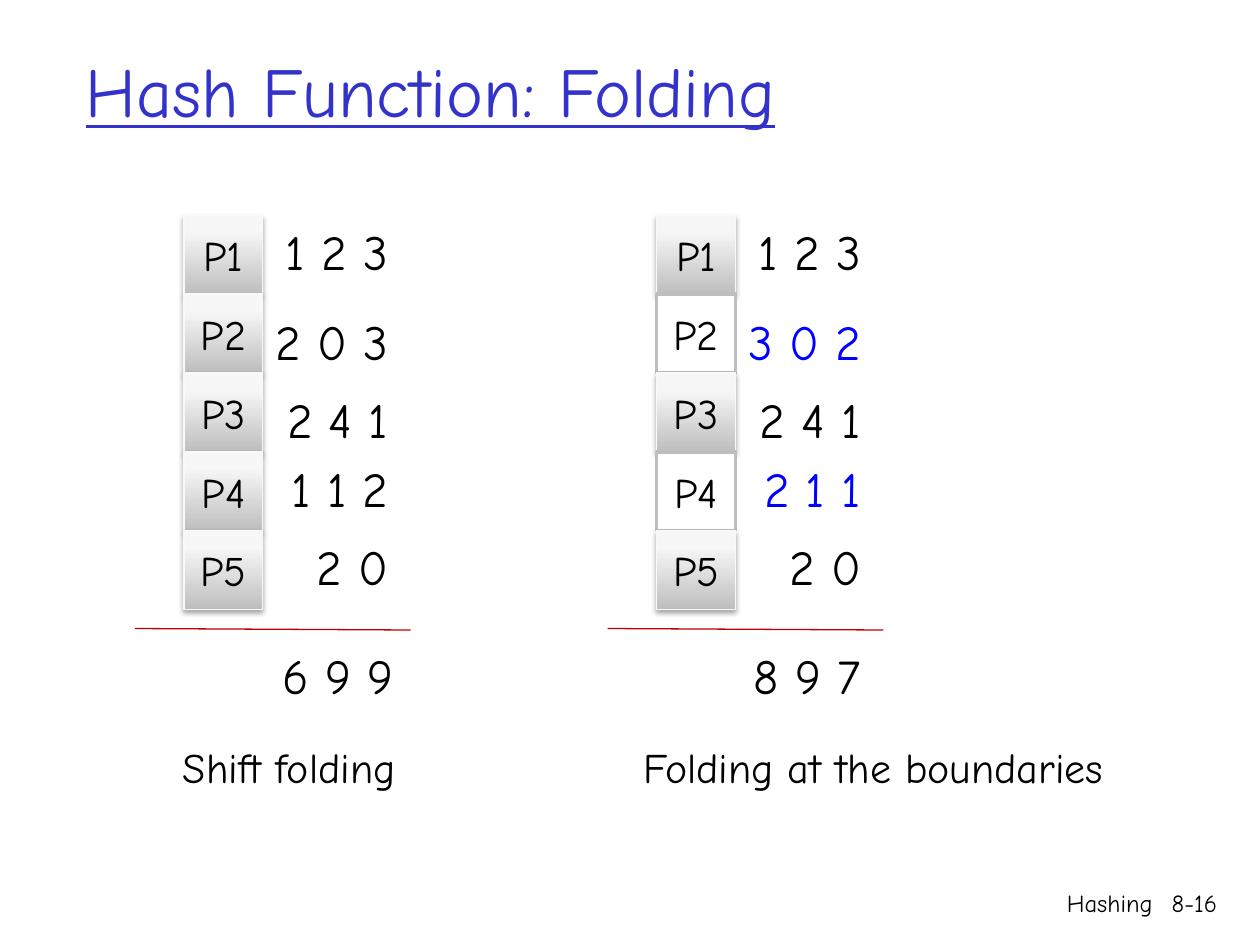
"""Build a slide that compares shift folding with folding at the boundaries."""
from pptx import Presentation
from pptx import util as u
from pptx.dml.color import RGBColor
from pptx.enum import shapes, text
from pptx.oxml import parse_xml
from pptx.oxml.ns import nsdecls

COLORS = {
    "title": "3333CC", "text": "000000", "reversed": "0000FF", "rule": "C00000",
    "edge": "F9F9F9", "frame": "BDBDBD", "white": "FFFFFF",
    "dark": "BEBEBE", "light": "F7F7F7", "pale": "F8F8F8",
}
LEFT, RIGHT, CENTER = text.PP_ALIGN.LEFT, text.PP_ALIGN.RIGHT, text.PP_ALIGN.CENTER
STOPS = ((0, "dark"), (80, "light"), (100, "pale"))
BLOCK_X, BLOCK_Y, BLOCK = 3.71, 4.34, 1.59
NUMBER_TOPS = (4.34, 6.15, 7.72, 9.12, 10.69)
NUMBER_RIGHT, NUMBER_H = 8.08, 1.45


class Deck:
    """Hold the style and the current slide."""

    def __init__(self, font="Comic Neue"):
        self.font = font
        self.prs = Presentation()
        self.prs.slide_width, self.prs.slide_height = u.Cm(25.4), u.Cm(19.05)
        self.s = self.prs.slides.add_slide(self.prs.slide_layouts[5])

    def color(self, name):
        return RGBColor.from_string(COLORS[name])

    def add_text(self, sp, words, size, color="text", align=LEFT,
                 anchor=text.MSO_ANCHOR.TOP, underline=None):
        tf = sp.text_frame
        tf.word_wrap, tf.auto_size = True, text.MSO_AUTO_SIZE.NONE
        tf.vertical_anchor = anchor
        p = tf.paragraphs[0]
        p.alignment = align
        r = p.add_run()
        r.text = words
        r.font.name, r.font.size = self.font, u.Pt(size)
        r.font.underline = underline
        r.font.color.rgb = self.color(color)

    def title(self, words, x, y, w, h):
        sp = self.s.shapes.title
        sp.left, sp.top, sp.width, sp.height = map(u.Cm, (x, y, w, h))
        self.add_text(sp, words, 40, "title", anchor=text.MSO_ANCHOR.MIDDLE, underline=True)

    def label(self, words, x, y, w, h, size, color="text", align=RIGHT):
        sp = self.s.shapes.add_textbox(*map(u.Cm, (x, y, w, h)))
        self.add_text(sp, words, size, color, align)

    def block(self, words, x, y, raised):
        sp = self.s.shapes.add_shape(shapes.MSO_SHAPE.RECTANGLE,
                                     *map(u.Cm, (x, y, BLOCK, BLOCK)))
        sp.line.color.rgb = self.color("edge" if raised else "frame")
        sp.line.width = u.Pt(0.75 if raised else 2)
        sp.shadow.inherit = False
        if raised:
            self.raise_up(sp)
        else:
            sp.fill.solid()
            sp.fill.fore_color.rgb = self.color("white")
        self.add_text(sp, words, 24, align=CENTER, anchor=text.MSO_ANCHOR.MIDDLE)

    def raise_up(self, sp):
        stops = "".join(f'<a:gs pos="{pos * 1000}"><a:srgbClr val="{COLORS[c]}"/></a:gs>'
                        for pos, c in STOPS)
        spPr = sp.element.spPr
        spPr.insert(2, parse_xml(
            f'<a:gradFill {nsdecls("a")} rotWithShape="1"><a:gsLst>{stops}</a:gsLst>'
            '<a:lin ang="16200000" scaled="0"/></a:gradFill>'))
        spPr.find("{*}effectLst").append(parse_xml(
            f'<a:outerShdw {nsdecls("a")} blurRad="40000" dist="23000" dir="5400000" '
            'rotWithShape="0"><a:srgbClr val="000000"><a:alpha val="35000"/>'
            '</a:srgbClr></a:outerShdw>'))

    def rule(self, x1, y1, x2, y2):
        sp = self.s.shapes.add_connector(shapes.MSO_CONNECTOR.STRAIGHT,
                                         *map(u.Cm, (x1, y1, x2, y2)))
        sp.line.color.rgb, sp.line.width = self.color("rule"), u.Pt(0.75)
        sp.element.spPr.append(parse_xml(f'<a:effectLst {nsdecls("a")}/>'))

    def folding(self, dx, numbers, total, caption, flipped=()):
        """Draw one sum; numbers are (digits, width) and total adds a right edge."""
        for i in range(len(numbers)):
            self.block(f"P{i + 1}", BLOCK_X + dx, BLOCK_Y + i * BLOCK, i not in flipped)
        for i, (digits, w) in enumerate(numbers):
            self.label(digits, NUMBER_RIGHT + dx - w, NUMBER_TOPS[i], w, NUMBER_H, 28,
                       "reversed" if i in flipped else "text")
        self.rule(2.72 + dx, 12.67, 8.28 + dx, 12.7)
        digits, w, right = total
        self.label(digits, right - w, 12.88, w, NUMBER_H, 28)
        words, x, w = caption
        self.label(words, x, 14.83, w, 1.27, 24, align=CENTER)


def main():
    d = Deck()
    d.title("Hash Function: Folding", 1.47, 0.64, 21.59, 2.34)
    d.label("Hashing", 15.44, 17.78, 8.05, 1.27, 14)
    d.label("8-16", 23.06, 17.78, 1.73, 1.27, 14)
    d.folding(0, [("1 2 3", 2.77), ("2 0 3", 3.12), ("2 4 1", 2.77),
                  ("1 1 2", 2.77), ("2 0", 2.77)],
              ("6 9 9", 3.68, 8.18), ("Shift folding", 2.16, 7.34))
    d.folding(9.53, [("1 2 3", 2.77), ("3 0 2", 3.3), ("2 4 1", 2.77),
                     ("2 1 1", 2.77), ("2 0", 3.3)],
              ("8 9 7", 3.3, 17.6), ("Folding at the boundaries", 11.99, 11.23),
              flipped=(1, 3))
    d.prs.save("out.pptx")


if __name__ == "__main__":
    main()
